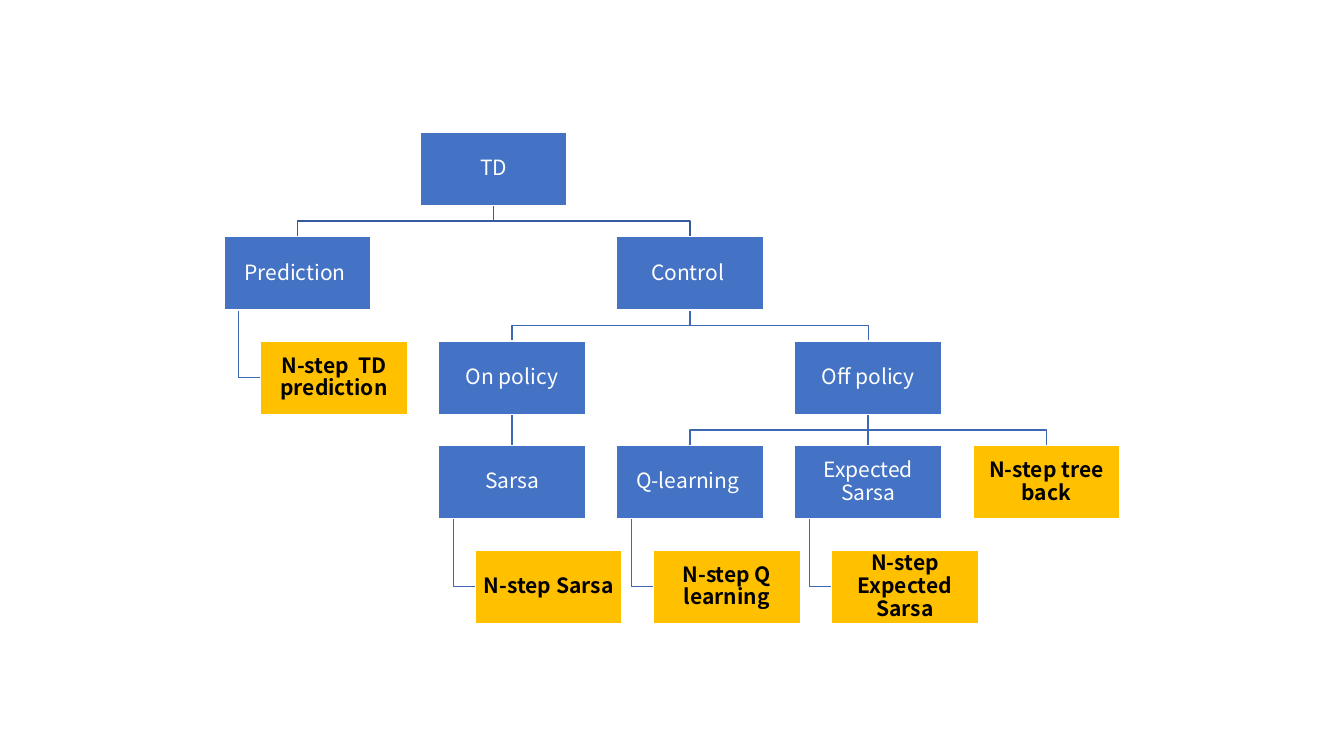
from dataclasses import dataclass, field

from lxml import etree
from pptx import Presentation
from pptx import util as u
from pptx.dml.color import RGBColor
from pptx.enum import shapes, text
from pptx.oxml.ns import qn


@dataclass(frozen=True)
class Theme:
    font: str = "Noto Sans CJK SC"
    size: float = 15
    method: str = "4472C4"
    method_text: str = "FFFFFF"
    n_step: str = "FFC000"
    n_step_text: str = "000000"
    border: str = "FFFFFF"
    root_link: str = "365B9D"
    link: str = "3E67B2"
    line_width: float = 1


THEME = Theme()

# Tree measures in points
BOX_W, BOX_H = 104.9, 52.4
COLUMN_STEP, ROW_STEP = 127.2, 74.6
INDENT = BOX_W / 4
STEM = BOX_W / 10


@dataclass
class Node:
    label: str
    children: list = field(default_factory=list)
    column: float = 0
    n_step: bool = False
    variant: str = ""  # n-step method hanging below this one

    def __post_init__(self):
        # A parent stands midway between its outer children
        if self.children:
            self.column = (self.children[0].column + self.children[-1].column) / 2


# Prediction makes room for its hanging box left of column 0
TD_TREE = Node("TD", [
    Node("Prediction ", column=-1 - INDENT / COLUMN_STEP, variant="N-step  TD prediction"),
    Node("Control ", [
        Node("On policy", [Node("Sarsa", column=0, variant="N-step Sarsa")]),
        Node("Off policy", [
            Node("Q-learning ", column=1, variant="N-step Q learning"),
            Node("Expected Sarsa", column=2, variant="N-step Expected Sarsa"),
            Node("N-step tree back", column=3, n_step=True),
        ]),
    ]),
])


def rgb(color):
    return RGBColor.from_string(color)


def draw_link(slide, points, color):
    """Straight connector for two points, open elbow for more."""
    corners = [(u.Pt(x), u.Pt(y)) for x, y in points]
    if len(corners) == 2:
        link = slide.shapes.add_connector(shapes.MSO_CONNECTOR.STRAIGHT, *corners[0], *corners[1])
        properties = link._element.find(qn("p:spPr"))
        link.line.color.rgb = rgb(color)
        etree.SubElement(properties, qn("a:effectLst"))
    else:
        outline = slide.shapes.build_freeform(*corners[0])
        outline.add_line_segments(corners[1:], close=False)
        link = outline.convert_to_shape()
        link.fill.background()
        link.shadow.inherit = False
        link.line.color.rgb = rgb(color)
    link.line.width = u.Pt(THEME.line_width)


def draw_box(slide, left, top, label, n_step):
    box = slide.shapes.add_shape(shapes.MSO_SHAPE.RECTANGLE,
                                 u.Pt(left), u.Pt(top), u.Pt(BOX_W), u.Pt(BOX_H))
    box.shadow.inherit = False
    box.fill.solid()
    box.fill.fore_color.rgb = rgb(THEME.n_step if n_step else THEME.method)
    box.line.color.rgb = rgb(THEME.border)
    box.line.width = u.Pt(THEME.line_width)

    frame = box.text_frame
    frame.word_wrap = True
    frame.vertical_anchor = text.MSO_ANCHOR.MIDDLE
    frame.margin_left = frame.margin_right = u.Pt(0.75)
    frame.margin_top = frame.margin_bottom = u.Pt(0.75)
    caption = frame.paragraphs[0]
    caption.text = label
    caption.alignment = text.PP_ALIGN.CENTER
    caption.line_spacing = 0.9
    caption.font.name = THEME.font
    caption.font.size = u.Pt(THEME.size)
    caption.font.bold = n_step
    caption.font.color.rgb = rgb(THEME.n_step_text if n_step else THEME.method_text)


def draw_tree(slide, node, left, top, link_color=THEME.link):
    """Place a node at the given corner, with its links and descendants."""
    middle, bottom = left + BOX_W / 2, top + BOX_H
    next_top = top + ROW_STEP

    # Links to the row below
    bar = (bottom + next_top) / 2
    for child in node.children:
        child_middle = middle + (child.column - node.column) * COLUMN_STEP
        bend = [] if child.column == node.column else [(middle, bar), (child_middle, bar)]
        draw_link(slide, [(middle, bottom), *bend, (child_middle, next_top)], link_color)

    # Hanging n-step variant
    if node.variant:
        stem, level = left + STEM, next_top + BOX_H / 2
        draw_link(slide, [(stem, bottom), (stem, level), (left + INDENT, level)], THEME.link)
        draw_box(slide, left + INDENT, next_top, node.variant, True)

    draw_box(slide, left, top, node.label, node.n_step)
    for child in node.children:
        draw_tree(slide, child, left + (child.column - node.column) * COLUMN_STEP, next_top)


def main():
    deck = Presentation()
    deck.slide_width, deck.slide_height = u.Pt(960), u.Pt(540)
    slide = deck.slides.add_slide(deck.slide_layouts[6])
    draw_tree(slide, TD_TREE, left=300.2, top=94.4, link_color=THEME.root_link)
    deck.save("out.pptx")


if __name__ == "__main__":
    main()
